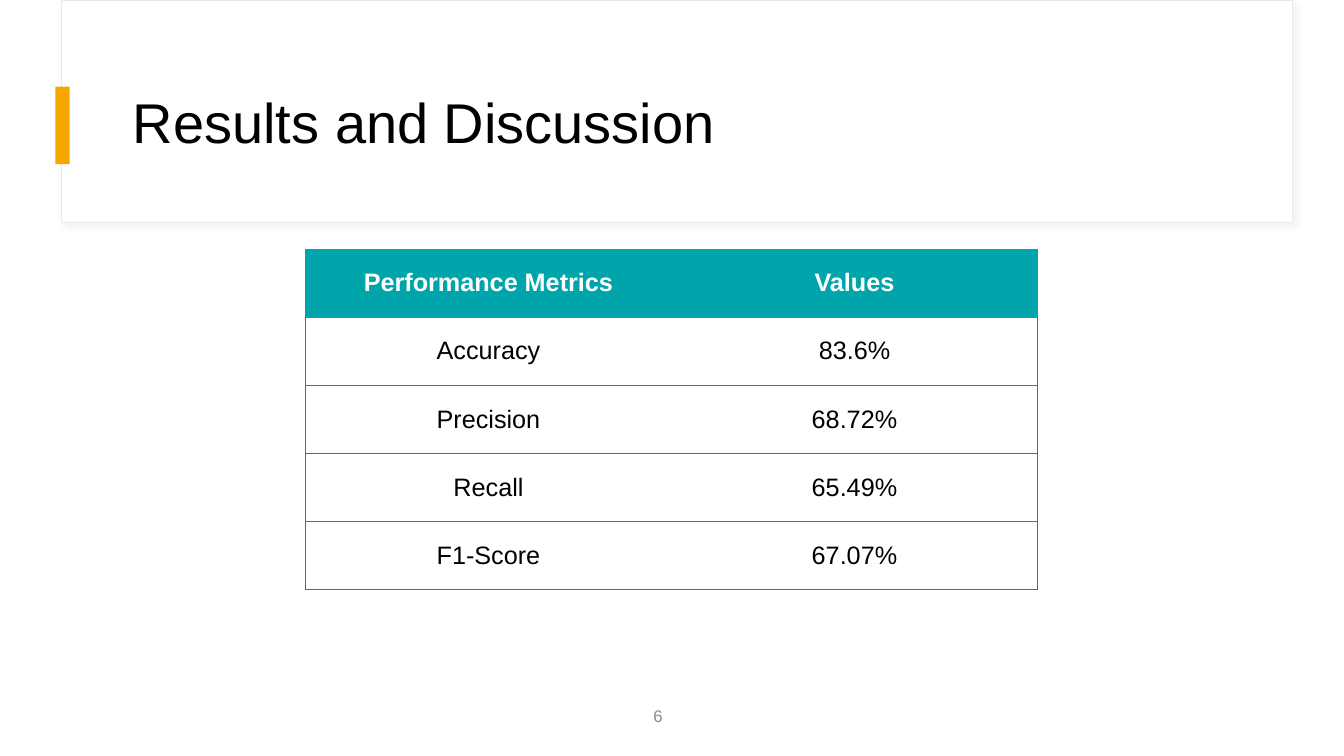
from dataclasses import dataclass

from lxml import etree
from pptx import Presentation
from pptx import util as u
from pptx.dml.color import RGBColor
from pptx.enum import shapes, text
from pptx.oxml import ns


@dataclass(frozen=True)
class Theme:
    """Colours, font and type sizes of the deck."""
    font: str = "Arial"
    white: str = "FFFFFF"
    black: str = "000000"
    accent: str = "F5A700"
    teal: str = "00A5AB"
    frame: str = "E9E9E9"
    shadow: str = "D9D9D9"
    rule: str = "666666"
    muted: str = "8C8C8C"
    title_size: int = 40
    table_size: int = 18
    number_size: int = 12


THEME = Theme()
METRICS = [
    ("Performance Metrics", "Values"),
    ("Accuracy", "83.6%"),
    ("Precision", "68.72%"),
    ("Recall", "65.49%"),
    ("F1-Score", "67.07%"),
]


def add_node(parent, tag, **attrs):
    """Append a DrawingML element with the given attributes."""
    node = etree.SubElement(parent, ns.qn(f"a:{tag}"))
    for name, value in attrs.items():
        node.set(name, str(value))
    return node


def write(tf, words, size, color, bold=False, **paragraph):
    """Put one formatted run into a vertically centred text frame."""
    tf.word_wrap = True
    tf.vertical_anchor = text.MSO_ANCHOR.MIDDLE
    p = tf.paragraphs[0]
    for name, value in paragraph.items():
        setattr(p, name, value)
    r = p.add_run()
    r.text = words
    for name, value in {"name": THEME.font, "size": u.Pt(size), "bold": bold}.items():
        setattr(r.font, name, value)
    r.font.color.rgb = RGBColor.from_string(color)


def add_box(s, x, y, w, h, fill, line=None):
    """Draw a filled rectangle, outlined only when a line colour is given."""
    sp = s.shapes.add_shape(shapes.MSO_SHAPE.RECTANGLE, *map(u.Inches, (x, y, w, h)))
    sp.shadow.inherit = False
    sp.fill.solid()
    sp.fill.fore_color.rgb = RGBColor.from_string(fill)
    if line:
        sp.line.color.rgb = RGBColor.from_string(line)
        sp.line.width = u.Pt(0.75)
    else:
        sp.line.fill.background()
    return sp


def add_shadow(sp):
    """Give a shape a faint shadow down and to the right."""
    effects = sp._element.spPr.find(ns.qn("a:effectLst"))
    outer = add_node(effects, "outerShdw", blurRad=u.Pt(4), dist=u.Pt(3),
                     dir=45 * 60000, algn="tl", rotWithShape=0)
    add_node(add_node(outer, "srgbClr", val=THEME.shadow), "alpha", val=30000)


def add_header(s, x, y, w, h, title):
    """Build the title panel with its accent bar."""
    add_shadow(add_box(s, x, y, w, h, THEME.white, THEME.frame))
    add_box(s, x - 0.06, y + 0.86, 0.14, 0.77, THEME.accent)
    tb = s.shapes.add_textbox(*map(u.Inches, (x + 0.61, y + 0.6, 11.12, 1.29)))
    write(tb.text_frame, title, THEME.title_size, THEME.black, line_spacing=0.9)


def set_borders(cell, colors):
    """Draw the cell sides that have a colour and clear the others."""
    tcPr = cell._tc.get_or_add_tcPr()
    for side in "LRTB":
        ln = add_node(tcPr, f"ln{side}", w=u.Pt(0.5))
        if colors.get(side):
            add_node(add_node(ln, "solidFill"), "srgbClr", val=colors[side])
        else:
            add_node(ln, "noFill")


def add_metrics(s, x, y, w, h, rows):
    """Build the metrics table with equal rows and columns."""
    last = len(rows[0]) - 1
    table = s.shapes.add_table(len(rows), last + 1, *map(u.Inches, (x, y, w, h))).table
    for i, row in enumerate(rows):
        head = i == 0
        edge = THEME.teal if head else THEME.rule
        for j, words in enumerate(row):
            cell = table.cell(i, j)
            set_borders(cell, {"L": edge if j == 0 else None,
                               "R": edge if j == last else None,
                               "T": THEME.teal if i <= 1 else edge, "B": edge})
            cell.fill.solid()
            cell.fill.fore_color.rgb = RGBColor.from_string(THEME.teal if head else THEME.white)
            write(cell.text_frame, words, THEME.table_size,
                  THEME.white if head else THEME.black, head,
                  alignment=text.PP_ALIGN.CENTER)
            cell.vertical_anchor = text.MSO_ANCHOR.MIDDLE


def add_number(s, x, y, w, h, number):
    """Place the page number at the right of its box."""
    tb = s.shapes.add_textbox(*map(u.Inches, (x, y, w, h)))
    write(tb.text_frame, number, THEME.number_size, THEME.muted,
          alignment=text.PP_ALIGN.RIGHT)


def main():
    """Build and save the results slide."""
    prs = Presentation()
    prs.slide_width, prs.slide_height = u.Inches(13.33), u.Inches(7.5)
    s = prs.slides.add_slide(prs.slide_layouts[6])
    add_header(s, 0.61, 0, 12.21, 2.21, "Results and Discussion")
    add_metrics(s, 3.03, 2.47, 7.26, 3.38, METRICS)
    add_number(s, 3.67, 6.9, 3, 0.4, "6")
    prs.save("out.pptx")


if __name__ == "__main__":
    main()
